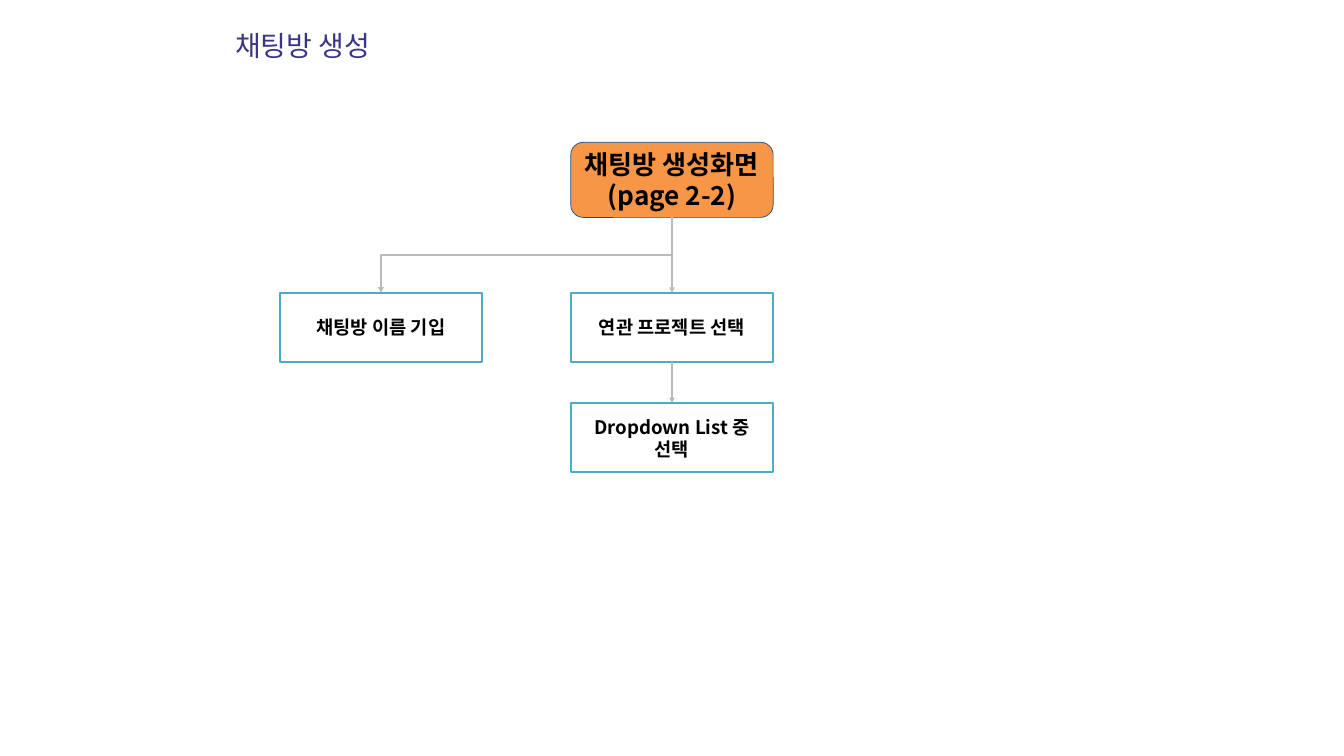
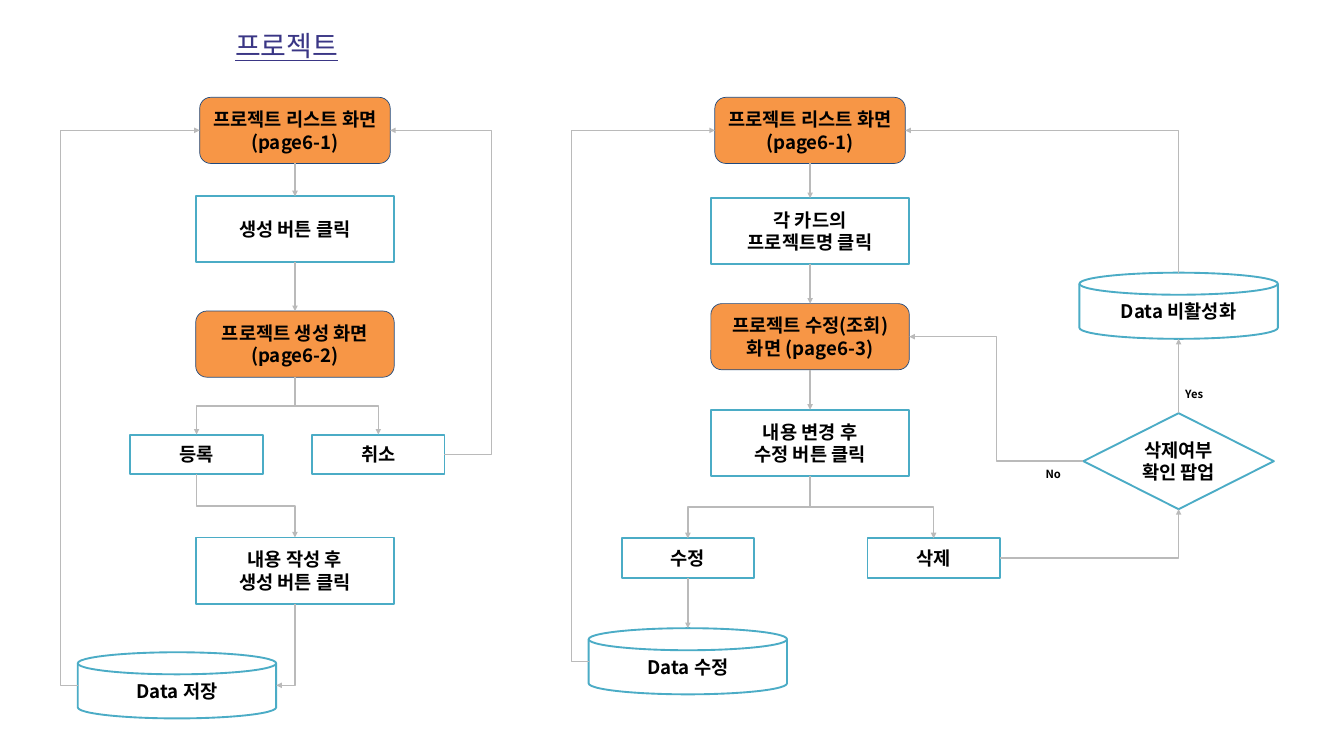
from lxml import etree
from pptx import Presentation
from pptx.dml.color import RGBColor
from pptx.enum.shapes import MSO_CONNECTOR, MSO_SHAPE
from pptx.enum.text import MSO_ANCHOR, PP_ALIGN
from pptx.oxml.ns import qn
from pptx.util import Cm, Pt

STRAIGHT, ELBOW = MSO_CONNECTOR.STRAIGHT, MSO_CONNECTOR.ELBOW
SCREEN = MSO_SHAPE.FLOWCHART_ALTERNATE_PROCESS
STEP = MSO_SHAPE.FLOWCHART_PROCESS
DECISION = MSO_SHAPE.FLOWCHART_DECISION
DATA = MSO_SHAPE.FLOWCHART_MAGNETIC_DISK
RECTANGLE = MSO_SHAPE.RECTANGLE
MIDDLE, CENTER, LEFT_ALIGN = MSO_ANCHOR.MIDDLE, PP_ALIGN.CENTER, PP_ALIGN.LEFT
TOP, LEFT, BOTTOM, RIGHT = range(4)

FONT = "Noto Sans CJK KR"
COLORS = {
    "title": "3A3685", "text": "000000", "white": "FFFFFF", "screen": "F79646",
    "screen line": "1F497D", "step line": "4BACC6", "connector": "BABABA",
}
NODE = (7.5, 2.5)
LIST_SCREEN = (7.2, 2.5)
BUTTON = (5, 1.5)


def color(name):
    return RGBColor.from_string(COLORS[name])


def port(shape, side):
    """Return the middle point of one side of a shape."""
    middle_x, middle_y = shape.left + shape.width // 2, shape.top + shape.height // 2
    return {
        TOP: (middle_x, shape.top), LEFT: (shape.left, middle_y),
        BOTTOM: (middle_x, shape.top + shape.height),
        RIGHT: (shape.left + shape.width, middle_y),
    }[side]


class FlowDeck:
    def __init__(self):
        self.presentation = Presentation()
        self.presentation.slide_width = Cm(50.8)
        self.presentation.slide_height = Cm(28.58)
        self.slide = None

    def new_slide(self, title, underline=False):
        self.slide = self.presentation.slides.add_slide(self.presentation.slide_layouts[6])
        band = self.slide.shapes.add_shape(RECTANGLE, 0, Cm(0.79), Cm(27.36), Cm(1.9))
        band.shadow.inherit = False
        band.fill.solid()
        band.fill.fore_color.rgb = color("white")
        band.line.fill.background()
        box = self.slide.shapes.add_textbox(Cm(8.89), Cm(1.07), Cm(17.8), Cm(1.12))
        self.set_text(box, title, 30, "title", margins=(0, 0), bold=False, underline=underline)

    def set_text(self, shape, text, size, color_name="text", margins=(0.25, 0.25),
                 align=LEFT_ALIGN, bold=True, underline=None):
        frame = shape.text_frame
        frame.text = text
        frame.word_wrap = True
        frame.margin_left = frame.margin_right = Cm(margins[0])
        frame.margin_top = frame.margin_bottom = Cm(margins[1])
        for paragraph in frame.paragraphs:
            paragraph.alignment = align
            for run in paragraph.runs:
                font = run.font
                font.name, font.size, font.bold = FONT, Pt(size), bold
                font.underline = underline
                font.color.rgb = color(color_name)
                east_asian = etree.Element(qn("a:ea"), typeface=FONT)
                run._r.rPr.find(qn("a:latin")).addnext(east_asian)

    def node(self, kind, text, center_x, top, size=NODE, font_size=20, margin_y=0.13):
        width, height = size
        shape = self.slide.shapes.add_shape(
            kind, Cm(center_x - width / 2), Cm(top), Cm(width), Cm(height))
        is_screen = kind == SCREEN
        shape.shadow.inherit = False
        shape.fill.solid()
        shape.fill.fore_color.rgb = color("screen" if is_screen else "white")
        shape.line.color.rgb = color("screen line" if is_screen else "step line")
        shape.line.width = Pt(0.75 if is_screen else 2)
        self.set_text(shape, text, font_size, margins=(0.25, margin_y), align=CENTER)
        shape.text_frame.vertical_anchor = MIDDLE
        return shape

    def label(self, text, left, top):
        box = self.slide.shapes.add_textbox(Cm(left), Cm(top), Cm(2.51), Cm(1.02))
        self.set_text(box, text, 12)

    def connector(self, kind, begin, end):
        connector = self.slide.shapes.add_connector(kind, *begin, *end)
        connector.line.color.rgb = color("connector")
        connector.line.width = Pt(1.5)
        properties = connector._element.spPr
        etree.SubElement(properties.find(qn("a:ln")), qn("a:tailEnd"), type="triangle")
        etree.SubElement(properties, qn("a:effectLst"))
        return connector

    def arrow(self, start, end, start_side=BOTTOM, end_side=TOP):
        """Draw a straight arrow, joined except at a disk, whose sites differ."""
        connector = self.connector(STRAIGHT, port(start, start_side), port(end, end_side))
        if start.auto_shape_type != DATA:
            connector.begin_connect(start, start_side)
        if end.auto_shape_type != DATA:
            connector.end_connect(end, end_side)

    def chain(self, *nodes):
        for upper, lower in zip(nodes, nodes[1:]):
            self.arrow(upper, lower)

    def elbow(self, start, end, start_side=BOTTOM, end_side=TOP, lane=None):
        """Draw a bent arrow; lane is the x in cm of its upright part."""
        begin, finish = port(start, start_side), port(end, end_side)
        (x1, y1), (x2, y2) = begin, finish
        rotation = 0
        if start_side in (TOP, BOTTOM):
            # An upright start is a sideways bend turned about its centre.
            rightward, downward = x2 > x1, y2 > y1
            rotation = 270 if rightward else 90
            half_width, half_height = abs(y2 - y1) // 2, abs(x2 - x1) // 2
            if rightward == downward:
                half_width = -half_width
            middle_x, middle_y = (x1 + x2) // 2, (y1 + y2) // 2
            begin = middle_x - half_width, middle_y - half_height
            finish = middle_x + half_width, middle_y + half_height
        properties = self.connector(ELBOW, begin, finish)._element.spPr
        if rotation:
            properties.find(qn("a:xfrm")).set("rot", str(rotation * 60000))
        geometry = properties.find(qn("a:prstGeom"))
        if start_side % 2 != end_side % 2:
            geometry.set("prst", "bentConnector2")
        elif lane is not None:
            ratio = round((Cm(lane) - x1) / (x2 - x1) * 100000)
            etree.SubElement(geometry.find(qn("a:avLst")), qn("a:gd"),
                             name="adj1", fmla=f"val {ratio}")


def build_chat_room(deck):
    deck.new_slide("채팅방 생성")
    size = (7.65, 2.62)
    screen = deck.node(SCREEN, "채팅방 생성화면\n(page 2-2)", 25.4, 5.38, (7.65, 2.84), 28, 0.25)
    name = deck.node(STEP, "채팅방 이름 기입", 14.4, 11.07, size, margin_y=0.25)
    project = deck.node(STEP, "연관 프로젝트 선택", 25.4, 11.07, size, margin_y=0.25)
    dropdown = deck.node(STEP, "Dropdown List 중\n선택", 25.4, 15.24, size, margin_y=0.25)
    deck.elbow(screen, name)
    deck.chain(screen, project, dropdown)


def build_project_creation(deck):
    axis = 11.15
    project_list = deck.node(SCREEN, "프로젝트 리스트 화면 (page6-1)", axis, 3.68, LIST_SCREEN)
    create = deck.node(STEP, "생성 버튼 클릭", axis, 7.42)
    screen = deck.node(SCREEN, "프로젝트 생성 화면\n(page6-2)", axis, 11.76)
    register = deck.node(STEP, "등록", 7.43, 16.43, BUTTON)
    cancel = deck.node(STEP, "취소", 14.3, 16.43, BUTTON)
    fill_in = deck.node(STEP, "내용 작성 후\n생성 버튼 클릭", axis, 20.32)
    saved = deck.node(DATA, "Data 저장", 6.69, 24.66)
    deck.chain(project_list, create, screen)
    for button in (register, cancel):
        deck.elbow(screen, button)
    deck.elbow(register, fill_in)
    deck.elbow(fill_in, saved, BOTTOM, RIGHT)
    deck.elbow(saved, project_list, LEFT, LEFT, lane=2.29)
    deck.elbow(cancel, project_list, RIGHT, RIGHT, lane=18.57)


def build_project_editing(deck):
    axis, edit_axis, delete_axis = 30.62, 26, 44.55
    project_list = deck.node(SCREEN, "프로젝트 리스트 화면 (page6-1)", axis, 3.68, LIST_SCREEN)
    card = deck.node(STEP, "각 카드의\n프로젝트명 클릭", axis, 7.49)
    screen = deck.node(SCREEN, "프로젝트 수정(조회) 화면 (page6-3)", axis, 11.48)
    change = deck.node(STEP, "내용 변경 후\n수정 버튼 클릭", axis, 15.49)
    edit = deck.node(STEP, "수정", edit_axis, 20.35, BUTTON)
    delete = deck.node(STEP, "삭제", 35.29, 20.35, BUTTON)
    edited = deck.node(DATA, "Data 수정", edit_axis, 23.75)
    confirm = deck.node(DECISION, "삭제여부 확인 팝업", delete_axis, 15.62, (7.2, 3.63))
    disabled = deck.node(DATA, "Data 비활성화", delete_axis, 10.31)
    deck.chain(project_list, card, screen, change)
    for button in (edit, delete):
        deck.elbow(change, button)
    deck.arrow(edit, edited)
    deck.elbow(edited, project_list, LEFT, LEFT, lane=21.59)
    deck.elbow(delete, confirm, RIGHT, BOTTOM)
    deck.elbow(confirm, screen, LEFT, RIGHT)
    deck.arrow(confirm, disabled, TOP, BOTTOM)
    deck.elbow(disabled, project_list, TOP, RIGHT)
    deck.label("No", 39.27, 17.42)
    deck.label("Yes", delete_axis, 14.38)


def main():
    deck = FlowDeck()
    build_chat_room(deck)
    deck.new_slide("프로젝트", underline=True)
    build_project_creation(deck)
    build_project_editing(deck)
    deck.presentation.save("out.pptx")


if __name__ == "__main__":
    main()
